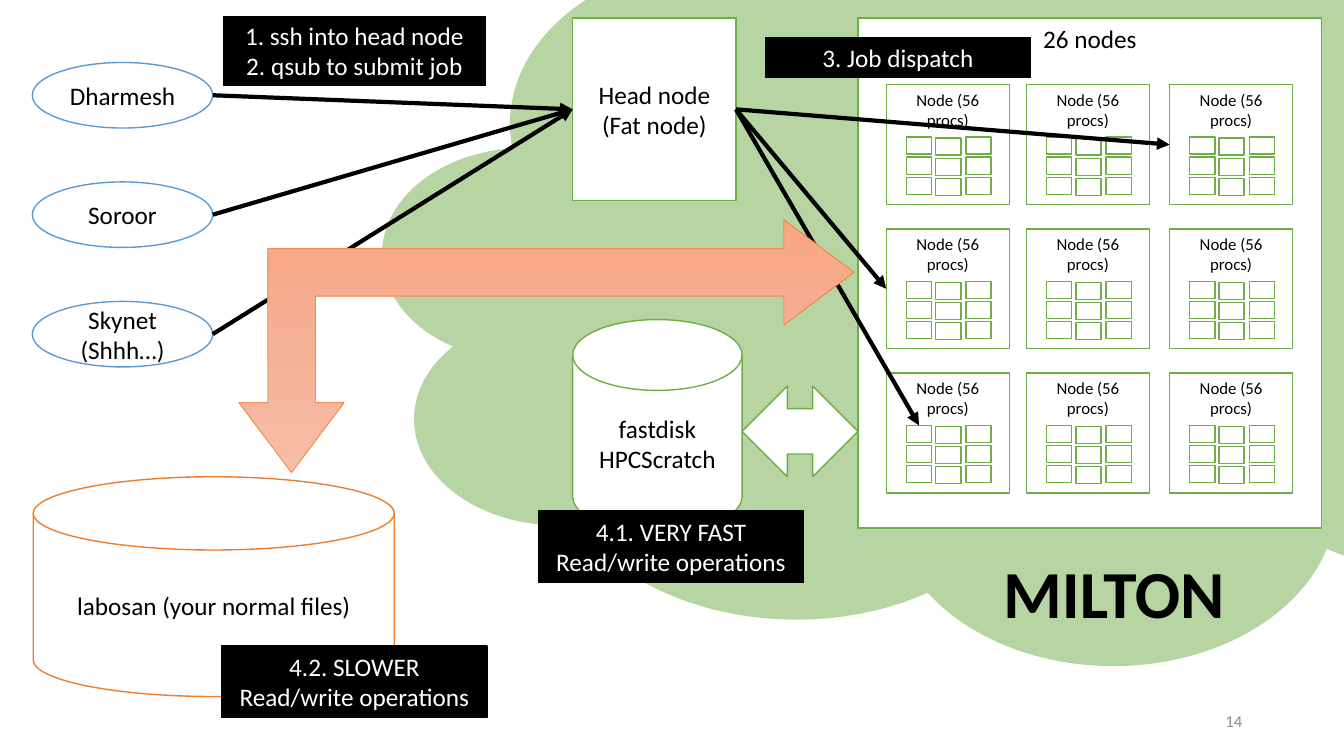
from copy import deepcopy

from lxml import etree
from pptx import Presentation
from pptx.dml.color import RGBColor
from pptx.enum.shapes import MSO_CONNECTOR, MSO_SHAPE
from pptx.enum.text import MSO_ANCHOR, MSO_AUTO_SIZE, PP_ALIGN
from pptx.oxml.ns import qn
from pptx.util import Inches, Pt

RECT, OVAL, CLOUD = MSO_SHAPE.RECTANGLE, MSO_SHAPE.OVAL, MSO_SHAPE.CLOUD
DISK = MSO_SHAPE.FLOWCHART_MAGNETIC_DISK
BOTH, BENT = MSO_SHAPE.LEFT_RIGHT_ARROW, MSO_SHAPE.LEFT_UP_ARROW
STRAIGHT = MSO_CONNECTOR.STRAIGHT
TOP, MIDDLE = MSO_ANCHOR.TOP, MSO_ANCHOR.MIDDLE
LEFT, CENTER, RIGHT = PP_ALIGN.LEFT, PP_ALIGN.CENTER, PP_ALIGN.RIGHT
NO_FIT = MSO_AUTO_SIZE.NONE

BLACK = RGBColor(0x00, 0x00, 0x00)
WHITE = RGBColor(0xFF, 0xFF, 0xFF)
GREEN = RGBColor(0x70, 0xAD, 0x47)
BLUE = RGBColor(0x5B, 0x9B, 0xD5)
ORANGE = RGBColor(0xED, 0x7D, 0x31)
GREY = RGBColor(0x8C, 0x8C, 0x8C)
PEACH = (RGBColor(0xF7, 0xBD, 0xA5), RGBColor(0xF5, 0xB1, 0x96),
         RGBColor(0xF8, 0xA5, 0x82))

FONT = "Calibri"
TOP_SIDE, LEFT_SIDE, RIGHT_SIDE = 0, 1, 3
NODE_X = (0.28, 1.67, 3.09)
CORE_X = (0.2, 0.49, 0.79)


def write(shape, text, size=18, color=BLACK, bold=False, align=CENTER,
          anchor=MIDDLE):
    frame = shape.text_frame
    frame.word_wrap = True
    frame.auto_size = NO_FIT
    frame.vertical_anchor = anchor
    frame.text = text
    for para in frame.paragraphs:
        para.alignment = align
        font = para.runs[0].font
        font.name, font.size, font.bold = FONT, Pt(size), bold
        font.color.rgb = color


def draw(slide, kind, box, fill=WHITE, line=GREEN, width=1):
    shape = slide.shapes.add_shape(kind, *map(Inches, box))
    shape.shadow.inherit = False
    shape.fill.solid()
    shape.fill.fore_color.rgb = fill
    if line is None:
        shape.line.fill.background()
    else:
        shape.line.color.rgb = line
        shape.line.width = Pt(width)
    return shape


def link(slide, start, end, side):
    """Arrow from a point to the given side of a shape."""
    x, y = start
    arrow = slide.shapes.add_connector(STRAIGHT, x, y, x, y)
    arrow.end_connect(end, side)
    arrow.line.color.rgb = BLACK
    arrow.line.width = Pt(3)
    tip = etree.SubElement(arrow.line._get_or_add_ln(), qn("a:tailEnd"))
    tip.set("type", "triangle")
    etree.SubElement(arrow._element.spPr, qn("a:effectLst"))
    return arrow


def right_mid(shape):
    return shape.left + shape.width, shape.top + shape.height // 2


def label(slide, box, text, line=BLACK, width=1):
    write(draw(slide, RECT, box, BLACK, line, width), text, color=WHITE,
          anchor=TOP)


def cloud(slide, box):
    shape = draw(slide, CLOUD, box, GREEN, None)
    tint = shape._element.spPr.find(qn("a:solidFill"))[0]
    etree.SubElement(tint, qn("a:alpha")).set("val", "50000")


def users(slide, box):
    x, y, w, h = box
    ovals = []
    for i, name in enumerate(("Dharmesh", "Soroor", "Skynet (Shhh…)")):
        oval = draw(slide, OVAL, (x, y + 1.185 * i, w, h), line=BLUE)
        write(oval, name)
        ovals.append(oval)
    return ovals


def node(slide, box):
    """One compute node; returns its frame and its first core."""
    x, y, w, h = box
    frame = draw(slide, RECT, box)
    write(frame, "Node (56 procs)", size=12, anchor=TOP)
    cores = []
    for col, dx in enumerate(CORE_X):
        drop = 0.01 if col == 1 else 0
        for row in range(3):
            spot = (x + dx, y + 0.52 + 0.2 * row + drop, 0.25, 0.17)
            cores.append(draw(slide, RECT, spot))
    return frame, cores[0]


def cluster(slide, box):
    x, y, w, h = box
    write(draw(slide, RECT, box), "26 nodes", anchor=TOP)
    return [[node(slide, (x + dx, y + 0.66 + 1.43 * row, 1.22, 1.19))
             for dx in NODE_X] for row in range(3)]


def disk(slide, box, text, line):
    write(draw(slide, DISK, box, line=line), text)


def bent_arrow(slide, box):
    shape = draw(slide, BENT, box, line=ORANGE, width=0.5)
    for i, value in enumerate((0.187, 0.208, 0.277)):
        shape.adjustments[i] = value
    frame = shape._element.spPr.find(qn("a:xfrm"))
    frame.set("flipH", "1")
    frame.set("flipV", "1")
    # Three-stop gradient running down the unflipped shape
    shape.fill.gradient()
    shape.fill.gradient_angle = 270
    stops = shape._element.spPr.find(qn("a:gradFill")).find(qn("a:gsLst"))
    stops.insert(1, deepcopy(stops[0]))
    for i, stop in enumerate(shape.fill.gradient_stops):
        stop.color.rgb = PEACH[i]
        stop.color.brightness = 0
        stop.position = i / 2
    for stop in stops:
        for extra in list(stop[0]):
            stop[0].remove(extra)


def heading(slide, box, text):
    title = slide.shapes.title
    title.left, title.top, title.width, title.height = map(Inches, box)
    write(title, text, size=48, bold=True, align=LEFT, anchor=TOP)
    # Bring the title in front of the cloud
    slide.shapes._spTree.append(title._element)


def number(slide, box, text):
    area = slide.shapes.add_textbox(*map(Inches, box))
    write(area, text, size=12, color=GREY, align=RIGHT)


def main():
    prs = Presentation()
    prs.slide_width, prs.slide_height = Inches(13.33), Inches(7.5)
    slide = prs.slides.add_slide(prs.slide_layouts[5])

    # Background and page number
    cloud(slide, (3.8, -1.11, 14.16, 7.69))
    number(slide, (9.42, 6.95, 3, 0.4), "14")

    # Users, head node, compute nodes and storage
    people = users(slide, (0.32, 0.62, 1.79, 0.65))
    head = draw(slide, RECT, (5.68, 0.18, 1.62, 1.81))
    write(head, "Head node (Fat node)")
    nodes = cluster(slide, (8.51, 0.18, 4.6, 5.06))
    disk(slide, (5.68, 3.17, 1.68, 2.11), "fastdisk\nHPCScratch", GREEN)
    disk(slide, (0.33, 4.73, 3.58, 2.18), "labosan (your normal files)",
         ORANGE)

    # Job submission
    for oval in people:
        link(slide, right_mid(oval), head, LEFT_SIDE)
    label(slide, (2.2, 0.15, 2.63, 0.71),
          "1. ssh into head node\n2. qsub to submit job", WHITE, 1.5)

    # Job dispatch
    goals = ((nodes[0][2][0], LEFT_SIDE), (nodes[1][0][0], LEFT_SIDE),
             (nodes[2][0][1], TOP_SIDE))
    for goal, side in goals:
        arrow = link(slide, right_mid(head), goal, side)
        arrow.begin_connect(head, RIGHT_SIDE)
    label(slide, (7.59, 0.37, 2.63, 0.4), "3. Job dispatch")

    # Read and write paths
    label(slide, (5.34, 5.07, 2.63, 0.71),
          "4.1. VERY FAST Read/write operations")
    draw(slide, BOTH, (7.36, 3.83, 1.15, 0.9))
    label(slide, (2.2, 6.41, 2.63, 0.71),
          "4.2. SLOWER Read/write operations")
    bent_arrow(slide, (2.37, 2.18, 6.1, 2.51))

    heading(slide, (9.85, 5.42, 2.5, 0.91), "MILTON")
    prs.save("out.pptx")


if __name__ == "__main__":
    main()
